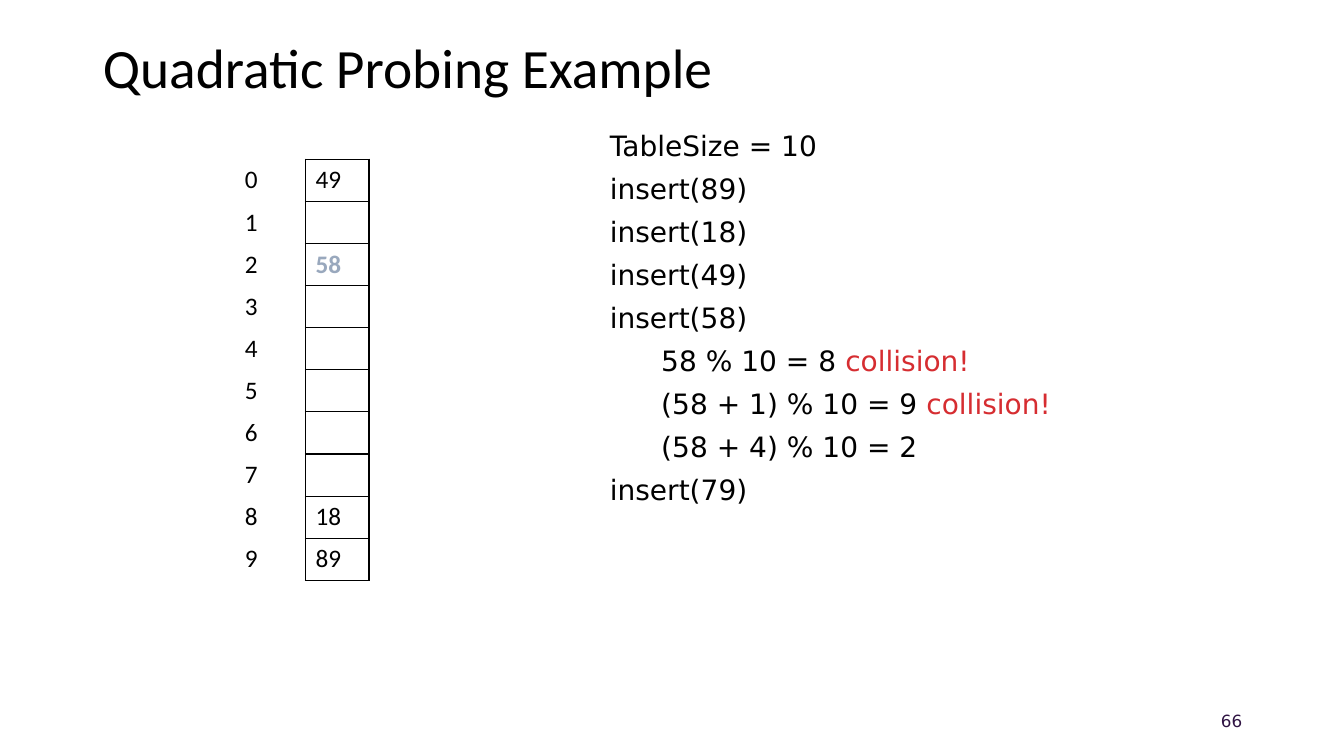
import dataclasses

import pptx
import pptx.dml.color
import pptx.enum.text
import pptx.oxml
import pptx.oxml.ns
import pptx.util

Inches = pptx.util.Inches
Pt = pptx.util.Pt
Anchor = pptx.enum.text.MSO_ANCHOR
Align = pptx.enum.text.PP_ALIGN


@dataclasses.dataclass(frozen=True)
class Theme:
    heading_font: str = "Calibri"
    body_font: str = "DejaVu Sans"
    ink: str = "000000"
    collision: str = "D62D31"
    inserted: str = "99A8BD"
    number: str = "2F1343"
    title_size: float = 39.6
    step_size: float = 20
    cell_size: float = 18
    number_size: float = 12
    step_gap: float = 6.7
    step_indent: float = 0.51


THEME = Theme()
TABLE_SIZE = 10
SLOTS = {0: "49", 2: "58", 8: "18", 9: "89"}
NEWEST_SLOT = 2
STEPS = [
    (0, ["TableSize = 10"]),
    (0, ["insert(89)"]),
    (0, ["insert(18)"]),
    (0, ["insert(49)"]),
    (0, ["insert(58)"]),
    (1, ["58 % 10 = 8 ", "collision!"]),
    (1, ["(58 + 1) % 10 = 9 ", "collision!"]),
    (1, ["(58 + 4) % 10 = 2"]),
    (0, ["insert(79)"]),
]


def style(font, family, size, color, bold=False):
    font.name = family
    font.size = Pt(size)
    font.bold = bold
    font.color.rgb = pptx.dml.color.RGBColor.from_string(color)


def add_title(page, box, text):
    title = page.shapes.title
    title.left, title.top, title.width, title.height = map(Inches, box)
    frame = title.text_frame
    frame.text = text
    frame.vertical_anchor = Anchor.MIDDLE
    para = frame.paragraphs[0]
    para.alignment = Align.LEFT
    para.line_spacing = 0.9
    style(para.runs[0].font, THEME.heading_font, THEME.title_size, THEME.ink)


def set_borders(cell, sides):
    properties = cell._tc.get_or_add_tcPr()
    namespace = pptx.oxml.ns.nsdecls("a")
    for position, side in enumerate("LRTB"):
        paint = "<a:noFill/>"
        if side in sides:
            paint = f'<a:solidFill><a:srgbClr val="{THEME.ink}"/></a:solidFill>'
        line = f'<a:ln{side} {namespace} w="{Pt(1)}">{paint}</a:ln{side}>'
        properties.insert(position, pptx.oxml.parse_xml(line))


def fill_cell(cell, text, color, sides, bold=False):
    cell.text = text
    cell.vertical_anchor = Anchor.MIDDLE
    cell.fill.background()
    set_borders(cell, sides)
    style(cell.text_frame.paragraphs[0].font, THEME.heading_font, THEME.cell_size, color)
    for span in cell.text_frame.paragraphs[0].runs:
        style(span.font, THEME.heading_font, THEME.cell_size, color, bold)


def add_hash_table(page, box, index_width):
    left, top, width, height = box
    table = page.shapes.add_table(TABLE_SIZE, 2, *map(Inches, box)).table
    table.first_row = table.horz_banding = False
    table.columns[0].width = Inches(index_width)
    table.columns[1].width = Inches(width - index_width)
    for slot in range(TABLE_SIZE):
        table.rows[slot].height = Inches(height / TABLE_SIZE)
        newest = slot == NEWEST_SLOT
        fill_cell(table.cell(slot, 0), str(slot), THEME.ink, "R")
        color = THEME.inserted if newest else THEME.ink
        fill_cell(table.cell(slot, 1), SLOTS.get(slot, ""), color, "LRTB", newest)


def add_steps(page, box):
    frame = page.shapes.add_textbox(*map(Inches, box)).text_frame
    frame.word_wrap = True
    for order, (level, parts) in enumerate(STEPS):
        para = frame.add_paragraph() if order else frame.paragraphs[0]
        para.space_before = Pt(THEME.step_gap if order else 0)
        if level:
            para._p.get_or_add_pPr().set("marL", str(Inches(THEME.step_indent)))
        for part, color in zip(parts, (THEME.ink, THEME.collision)):
            span = para.add_run()
            span.text = part
            style(span.font, THEME.body_font, THEME.step_size, color)


def add_page_number(page, box, number):
    frame = page.shapes.add_textbox(*map(Inches, box)).text_frame
    frame.text = str(number)
    frame.word_wrap = True
    frame.vertical_anchor = Anchor.MIDDLE
    para = frame.paragraphs[0]
    para.alignment = Align.RIGHT
    style(para.runs[0].font, THEME.body_font, THEME.number_size, THEME.number)


def main():
    deck = pptx.Presentation()
    deck.slide_width, deck.slide_height = Inches(13.33), Inches(7.5)
    page = deck.slides.add_slide(deck.slide_layouts.get_by_name("Title Only"))
    add_title(page, (0.92, 0.4, 11.5, 0.59), "Quadratic Probing Example")
    add_steps(page, (5.95, 1.23, 4.82, 3.8))
    add_page_number(page, (9.42, 6.95, 3, 0.4), 66)
    add_hash_table(page, (2.33, 1.58, 1.33, 4.18), index_width=0.7)
    deck.save("out.pptx")


if __name__ == "__main__":
    main()
